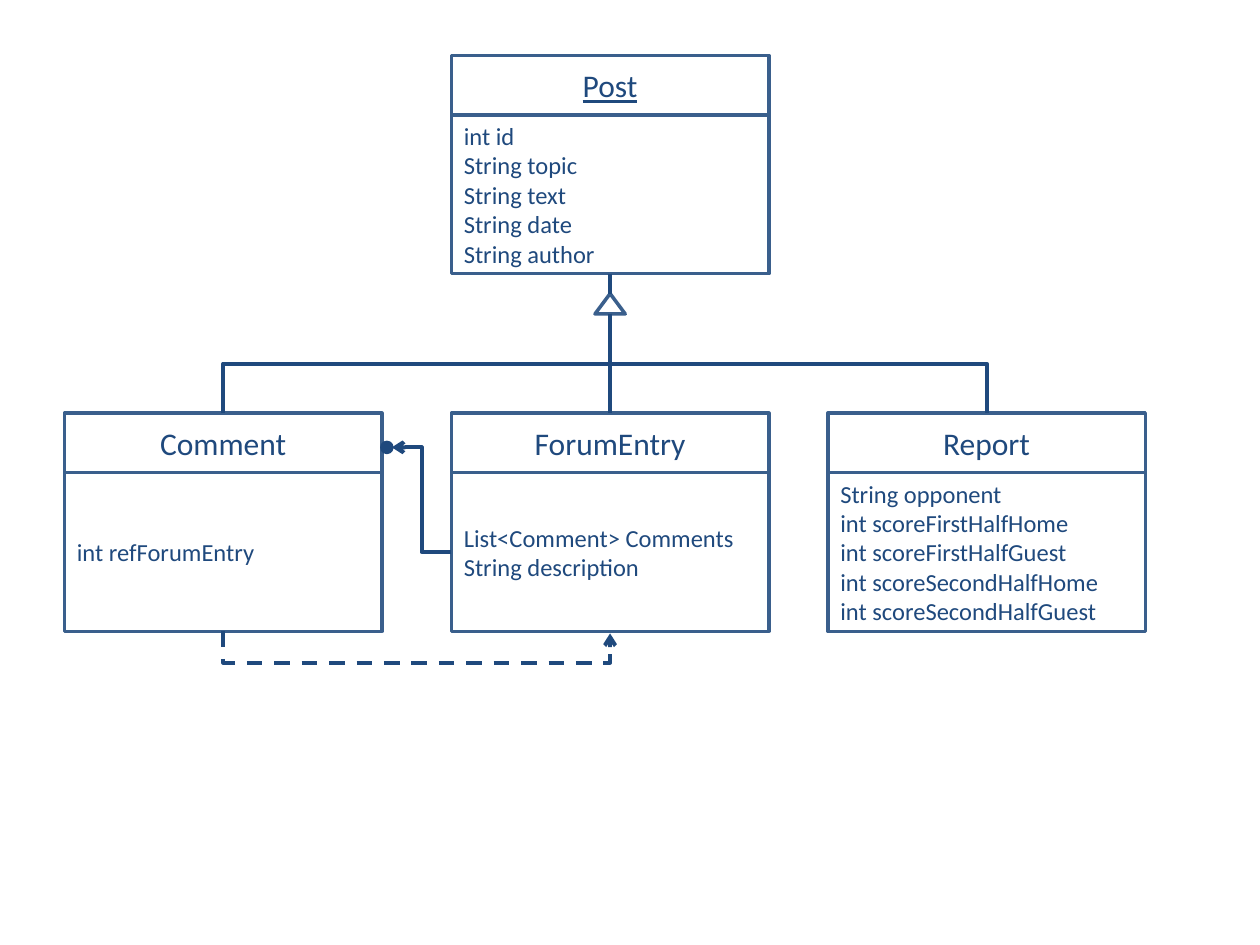
from pptx import Presentation
from pptx.dml.color import RGBColor
from pptx.enum.dml import MSO_LINE
from pptx.enum.shapes import MSO_CONNECTOR as LINK, MSO_SHAPE as SHAPE
from pptx.enum.text import MSO_ANCHOR, PP_ALIGN
from pptx.oxml.ns import qn
from pptx.util import Cm, Pt
from lxml.etree import SubElement

INK, BORDER = "1F497D", "3A5F8C"
BOX_W, NAME_H, FIELDS_H = 6.4, 1.2, 3.2
POST_TOP, ROW_TOP = 1.12, 8.33
COMMENT_X, FORUM_X, REPORT_X = 1.3, 9.1, 16.69
ROW_BOTTOM = ROW_TOP + NAME_H + FIELDS_H


def rgb(color):
    return RGBColor.from_string(color)


def add_outlined(shapes, kind, left, top, width, height, border=BORDER, fill=None):
    shape = shapes.add_shape(kind, Cm(left), Cm(top), Cm(width), Cm(height))
    shape.shadow.inherit = False
    if fill:
        shape.fill.solid()
        shape.fill.fore_color.rgb = rgb(fill)
    else:
        shape.fill.background()
    shape.line.color.rgb = rgb(border)
    shape.line.width = Pt(2)
    return shape


def write_lines(shape, lines, size, align, underline=None):
    frame = shape.text_frame
    frame.word_wrap = True
    frame.vertical_anchor = MSO_ANCHOR.MIDDLE
    frame.text = "\n".join(lines)
    for paragraph in frame.paragraphs:
        paragraph.alignment = align
        font = paragraph.font
        font.name, font.size, font.underline = "Calibri", Pt(size), underline
        font.color.rgb = rgb(INK)


def add_class(slide, left, top, name, fields, underline=None):
    """Group a name box above a field box; return both."""
    shapes = slide.shapes.add_group_shape().shapes
    title = add_outlined(shapes, SHAPE.RECTANGLE, left, top, BOX_W, NAME_H)
    write_lines(title, [name], 18, PP_ALIGN.CENTER, underline)
    body = add_outlined(shapes, SHAPE.RECTANGLE, left, top + NAME_H, BOX_W, FIELDS_H)
    write_lines(body, fields, 14, PP_ALIGN.LEFT)
    return title, body


def add_link(slide, kind, start, end, arrow=False):
    link = slide.shapes.add_connector(kind, *map(Cm, start + end))
    link.line.color.rgb = rgb(INK)
    link.line.width = Pt(2.25)
    if arrow:
        SubElement(link.line._get_or_add_ln(), qn("a:tailEnd"), type="arrow")
    SubElement(link._element.spPr, qn("a:effectLst"))
    return link


def add_vertical_elbow(slide, start, end, bend=None, arrow=False):
    """Elbow that leaves start downwards and turns after bend (default: halfway)."""
    (x1, y1), (x2, y2) = start, end
    mid_x, mid_y = (x1 + x2) / 2, (y1 + y2) / 2
    half_w, half_h = (y2 - y1) / 2, abs(x2 - x1) / 2
    rightwards = x2 > x1
    # The frame is laid out horizontally, then turned a quarter.
    side = half_w if rightwards else -half_w
    link = add_link(slide, LINK.ELBOW, (mid_x + side, mid_y - half_h),
                    (mid_x - side, mid_y + half_h), arrow)
    properties = link._element.spPr
    properties.find(qn("a:xfrm")).set("rot", str((270 if rightwards else 90) * 60000))
    if bend:
        guides = properties.find(qn("a:prstGeom")).get_or_add_avLst()
        ratio = round(bend / (y2 - y1) * 100000)
        SubElement(guides, qn("a:gd"), name="adj1", fmla=f"val {ratio}")
    return link


def add_inheritance(slide, parent_body, child_titles):
    center = FORUM_X + BOX_W / 2
    width, height, top = 0.61, 0.41, 5.92
    triangle = add_outlined(slide.shapes, SHAPE.ISOSCELES_TRIANGLE,
                            center - width / 2, top, width, height)
    stem = add_link(slide, LINK.STRAIGHT, (center, top - 0.4), (center, top))
    stem.begin_connect(parent_body, 2)
    stem.end_connect(triangle, 0)

    base = (center, top + height)
    trunk = add_link(slide, LINK.STRAIGHT, base, (center, ROW_TOP))
    trunk.end_connect(child_titles[1], 0)
    for left in (COMMENT_X, REPORT_X):
        add_vertical_elbow(slide, base, (left + BOX_W / 2, ROW_TOP))


def add_associations(slide, forum_body):
    """Link ForumEntry to its comments, and Comment back to its entry."""
    reference = add_vertical_elbow(
        slide, (COMMENT_X + BOX_W / 2, ROW_BOTTOM),
        (FORUM_X + BOX_W / 2, ROW_BOTTOM + 0.04), bend=0.63, arrow=True)
    reference.line.dash_style = MSO_LINE.DASH

    dot, dot_y = 0.2, 9.02
    dot_x = COMMENT_X + BOX_W
    add_outlined(slide.shapes, SHAPE.OVAL, dot_x, dot_y - dot / 2, dot, dot, INK, INK)
    comments = add_link(slide, LINK.ELBOW,
                        (FORUM_X, ROW_TOP + NAME_H + FIELDS_H / 2),
                        (dot_x + dot, dot_y), arrow=True)
    comments.line.width = Pt(2.25)


def main():
    deck = Presentation()
    deck.slide_width, deck.slide_height = Cm(25.4), Cm(19.05)
    slide = deck.slides.add_slide(deck.slide_layouts[6])

    _, post_body = add_class(
        slide, FORUM_X, POST_TOP, "Post",
        ["int id", "String topic", "String text", "String date", "String author"],
        underline=True)
    children = [
        (COMMENT_X, "Comment", ["int refForumEntry"]),
        (FORUM_X, "ForumEntry", ["List<Comment> Comments", "String description"]),
        (REPORT_X, "Report",
         ["String opponent", "int scoreFirstHalfHome", "int scoreFirstHalfGuest",
          "int scoreSecondHalfHome", "int scoreSecondHalfGuest"]),
    ]
    titles, bodies = zip(*(add_class(slide, left, ROW_TOP, name, fields)
                           for left, name, fields in children))
    add_inheritance(slide, post_body, titles)
    add_associations(slide, bodies[1])
    deck.save("out.pptx")


if __name__ == "__main__":
    main()
